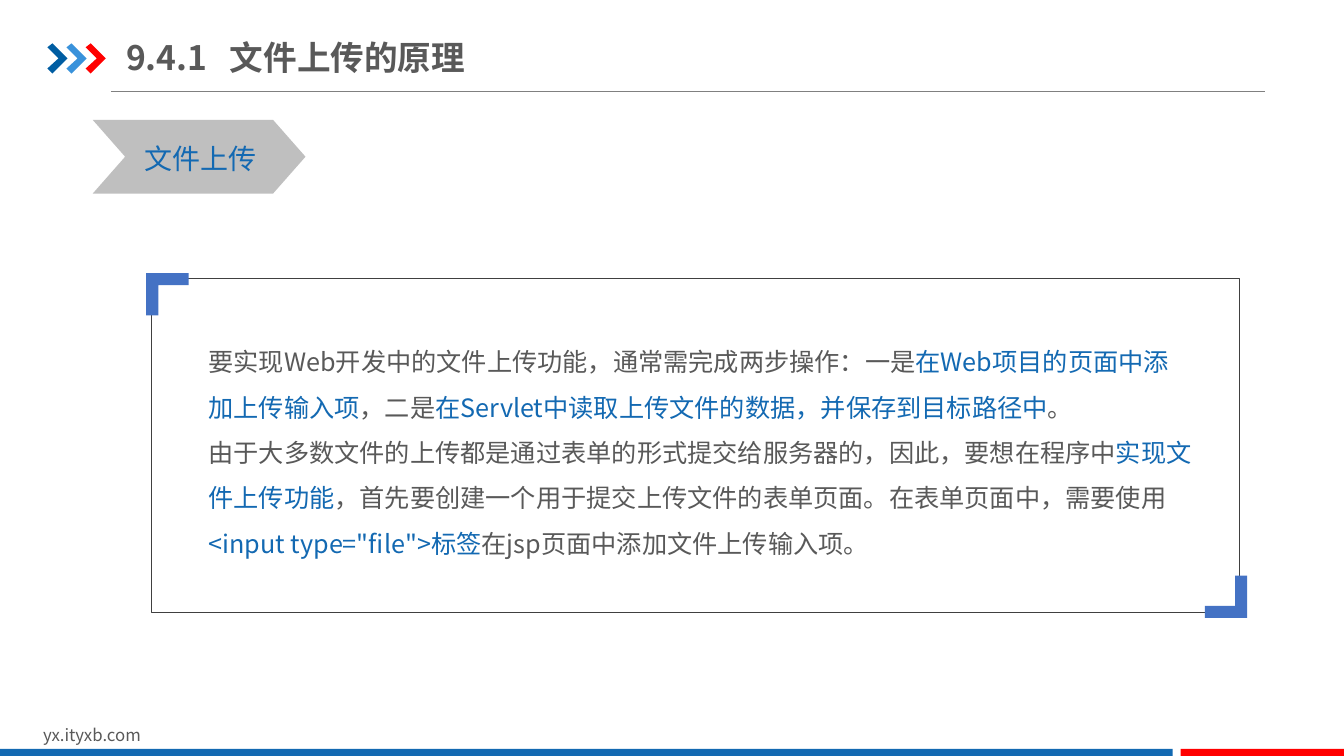
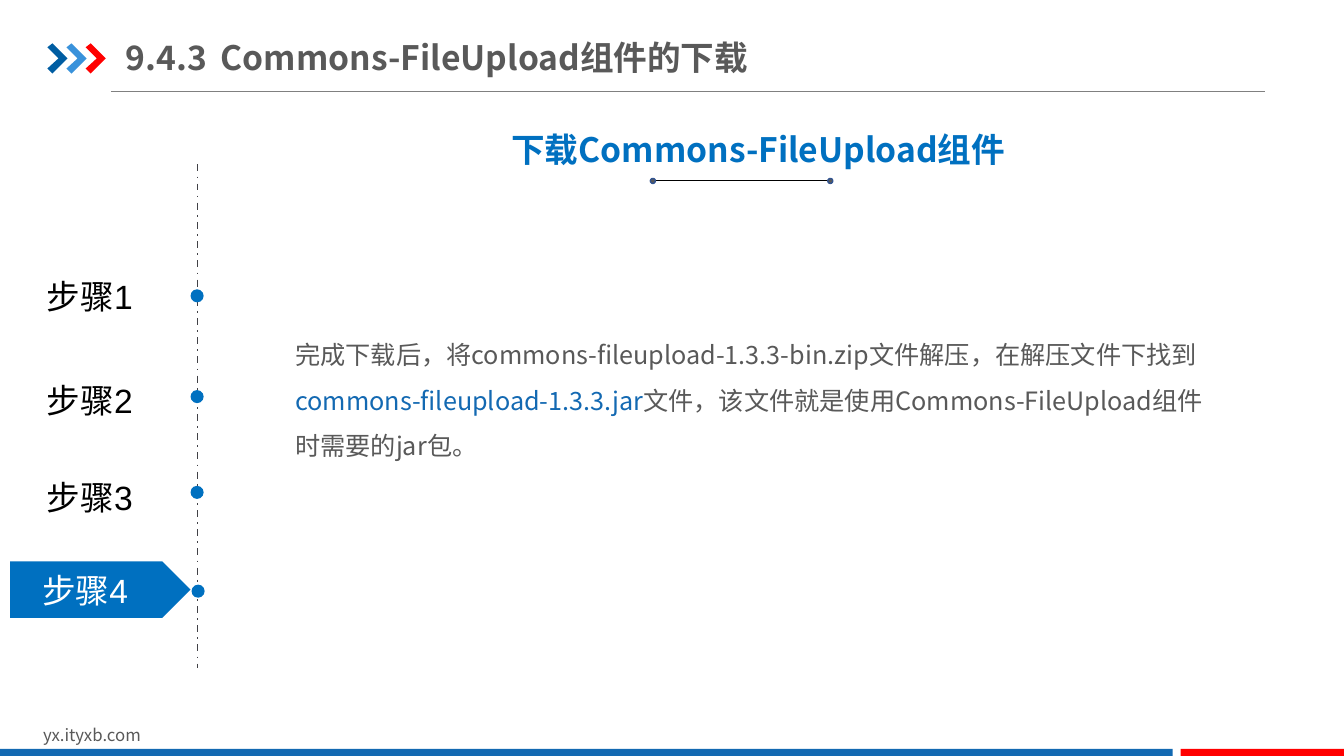
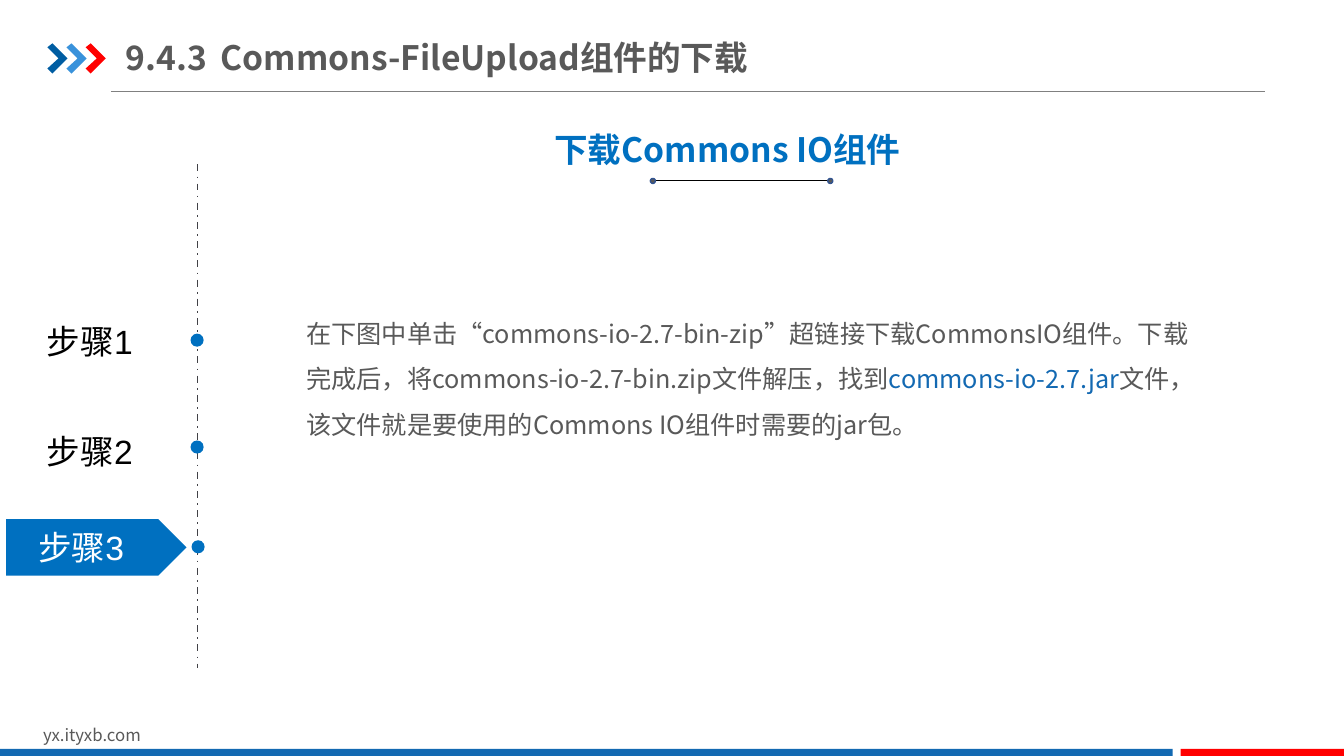
from dataclasses import dataclass

from lxml import etree
from pptx import Presentation
from pptx.dml.color import RGBColor
from pptx.enum.dml import MSO_LINE
from pptx.enum.shapes import MSO_CONNECTOR, MSO_SHAPE
from pptx.enum.text import MSO_ANCHOR, PP_ALIGN
from pptx.oxml.ns import qn
from pptx.util import Inches, Pt

BOX, DOT = MSO_SHAPE.RECTANGLE, MSO_SHAPE.OVAL
CHEVRON, FLAG = MSO_SHAPE.CHEVRON, MSO_SHAPE.PENTAGON
LEFT, CENTER = PP_ALIGN.LEFT, PP_ALIGN.CENTER
TOP, MIDDLE = MSO_ANCHOR.TOP, MSO_ANCHOR.MIDDLE
STRAIGHT, DASH = MSO_CONNECTOR.STRAIGHT, MSO_LINE.DASH_DOT


@dataclass(frozen=True)
class Theme:
    font: str = "Noto Sans CJK SC"
    plain: str = "Arial"
    gray: str = "595959"
    blue: str = "1369B2"
    bright: str = "0070C0"
    navy: str = "005DA2"
    sky: str = "3992DB"
    red: str = "FF0000"
    corner: str = "4472C4"
    silver: str = "BFBFBF"
    rule: str = "808080"
    frame: str = "404040"
    dash: str = "414146"
    ring: str = "325491"
    black: str = "000000"
    white: str = "FFFFFF"
    head: int = 24
    label: int = 20
    body: int = 18
    small: int = 12


T = Theme()


def color(code):
    return RGBColor.from_string(code)


def write(frame, text, *, size=T.body, font=T.font, ink=T.gray, accent=T.blue,
          bold=False, align=LEFT, space=None, tab=None):
    """Each line is a paragraph; parts between bars take the accent colour."""
    for i, line in enumerate(text.split("\n")):
        para = frame.add_paragraph() if i else frame.paragraphs[0]
        para.alignment = align
        if space:
            para.line_spacing = space
        if tab:
            stops = etree.SubElement(para._p.get_or_add_pPr(), qn("a:tabLst"))
            etree.SubElement(stops, qn("a:tab"), pos=str(Inches(tab)), algn="l")
        for j, part in enumerate(line.split("|")):
            if not part:
                continue
            run = para.add_run()
            run.text = part
            run.font.size, run.font.bold, run.font.name = Pt(size), bold, font
            run.font.color.rgb = color(accent if j % 2 else ink)
            etree.SubElement(run._r.get_or_add_rPr(), qn("a:ea"), typeface=T.font)


class Deck:
    def __init__(self):
        self.file = Presentation()
        self.file.slide_width, self.file.slide_height = Inches(13.33), Inches(7.5)
        self.slide = None

    # Basic elements
    def paint(self, shape, fill=None, line=None, width=1):
        shape.shadow.inherit = False
        if fill:
            shape.fill.solid()
            shape.fill.fore_color.rgb = color(fill)
        else:
            shape.fill.background()
        if line:
            shape.line.color.rgb = color(line)
            shape.line.width = Pt(width)
        else:
            shape.line.fill.background()
        return shape

    def shape(self, kind, x, y, w, h, **look):
        item = self.slide.shapes.add_shape(kind, *map(Inches, (x, y, w, h)))
        return self.paint(item, **look)

    def outline(self, x, y, points, fill, sign=1):
        spots = [(Inches(x + sign * a), Inches(y + sign * b)) for a, b in points]
        pen = self.slide.shapes.build_freeform(*spots[0], scale=1.0)
        pen.add_line_segments(spots[1:], close=True)
        return self.paint(pen.convert_to_shape(), fill)

    def line(self, x1, y1, x2, y2, ink, width, dash=None):
        item = self.slide.shapes.add_connector(
            STRAIGHT, *map(Inches, (x1, y1, x2, y2)))
        item.line.color.rgb = color(ink)
        item.line.width = Pt(width)
        if dash:
            item.line.dash_style = dash
        etree.SubElement(item._element.spPr, qn("a:effectLst"))

    def text(self, x, y, w, h, text, *, wrap=True, anchor=TOP,
             inset=(0.1, 0.05), **style):
        box = self.slide.shapes.add_textbox(*map(Inches, (x, y, w, h)))
        frame = box.text_frame
        frame.word_wrap, frame.vertical_anchor = wrap, anchor
        frame.margin_left = frame.margin_right = Inches(inset[0])
        frame.margin_top = frame.margin_bottom = Inches(inset[1])
        write(frame, text, **style)

    # Shared slide parts
    def page(self, title, width, tab):
        self.slide = self.file.slides.add_slide(self.file.slide_layouts[6])
        self.line(1.1, 0.91, 12.55, 0.91, T.rule, 0.5)
        arrow = [(0, 0.04), (0.05, 0), (0.2, 0.15),
                 (0.05, 0.3), (0, 0.25), (0.11, 0.15)]
        for i, fill in enumerate((T.navy, T.sky, T.red)):
            self.outline(0.47 + 0.19 * i, 0.43, arrow, fill)
        self.text(0.33, 7.14, 3.18, 0.3, "yx.ityxb.com", size=T.small)
        self.shape(BOX, 0, 7.43, 11.63, 0.09, fill=T.blue)
        self.shape(BOX, 11.71, 7.43, 1.63, 0.09, fill=T.red)
        self.text(1.25, 0.29, width, 0.55, title, anchor=MIDDLE,
                  inset=(0, 0.07), size=T.head, bold=True, tab=tab)

    def topic(self, x, width, text, align):
        self.text(x, 1.23, width, 0.5, text, size=T.head, ink=T.bright,
                  bold=True, align=align)
        self.line(6.5, 1.79, 8.2, 1.79, T.black, 0.5)
        for left in (6.45, 8.21):
            self.shape(DOT, left, 1.77, 0.05, 0.05, fill=T.gray, line=T.ring)

    def steps(self, marks, left):
        """Marks are (dot top, label top); the last one is the current step."""
        self.line(1.96, 1.63, 1.96, 6.63, T.dash, 1.25, DASH)
        for i, (dot, top) in enumerate(marks, 1):
            last = i == len(marks)
            if last:
                self.shape(FLAG, left, top - 0.03, 1.79, 0.56, fill=T.bright)
            self.shape(DOT, 1.9 if last else 1.89, dot, 0.13, 0.13, fill=T.bright)
            x, width = (left - 0.07, 1.63) if last else (0, 1.78)
            self.text(x, top, width, 0.5, f"步骤{i}", size=T.head, font=T.plain,
                      ink=T.white if last else T.black, align=CENTER)

    def frame(self, x, y, w, h):
        self.shape(BOX, x, y, w, h, line=T.frame, width=0.25)
        angle = [(0, 0), (0.42, 0), (0.42, 0.12),
                 (0.12, 0.12), (0.12, 0.42), (0, 0.42)]
        self.outline(x - 0.05, y - 0.05, angle, T.corner)
        self.outline(x + w + 0.08, y + h + 0.06, angle, T.corner, sign=-1)


def main():
    deck = Deck()

    # Upload principle
    deck.page("9.4.1\t文件上传的原理", 3.82, 1.03)
    deck.text(
        1.97, 3.24, 9.97, 2.37,
        "要实现Web开发中的文件上传功能，通常需完成两步操作：一是"
        "|在Web项目的页面中添加上传输入项|，二是"
        "|在Servlet中读取上传文件的数据，并保存到目标路径中|。\n"
        "由于大多数文件的上传都是通过表单的形式提交给服务器的，因此，要想在程序中"
        "|实现文件上传功能|，首先要创建一个用于提交上传文件的表单页面。"
        "在表单页面中，需要使用|<input type=\"file\">标签|"
        "在jsp页面中添加文件上传输入项。", space=1.5)
    deck.frame(1.5, 2.76, 10.79, 3.31)
    tag = deck.shape(CHEVRON, 0.92, 1.19, 2.11, 0.73, fill=T.silver)
    tag.adjustments[0] = 0.44
    deck.text(1.33, 1.35, 1.32, 0.44, "文件上传", wrap=False,
              size=T.label, ink=T.blue)

    # Component downloads
    title = "9.4.3\tCommons-FileUpload组件的下载"
    deck.page(title, 6.57, 0.94)
    deck.steps([(2.87, 2.69), (3.87, 3.72), (4.82, 4.68), (5.8, 5.6)], 0.1)
    deck.topic(4.66, 5.72, "下载Commons-FileUpload组件", CENTER)
    deck.text(
        2.83, 3.17, 9.41, 1.46,
        "完成下载后，将commons-fileupload-1.3.3-bin.zip文件解压，在解压文件下找到"
        "|commons-fileupload-1.3.3.jar|文件，该文件就是使用"
        "Commons-FileUpload组件时需要的jar包。", space=1.5)

    deck.page(title, 6.57, 0.94)
    deck.steps([(3.31, 3.13), (4.37, 4.23), (5.36, 5.18)], 0.06)
    deck.topic(5.4, 3.84, "下载Commons IO组件", LEFT)
    deck.text(
        2.94, 2.96, 9.06, 1.46,
        "在下图中单击“commons-io-2.7-bin-zip”超链接下载CommonsIO组件。"
        "下载完成后，将commons-io-2.7-bin.zip文件解压，找到"
        "|commons-io-2.7.jar|文件，该文件就是要使用的"
        "Commons IO组件时需要的jar包。", space=1.5)

    deck.file.save("out.pptx")


if __name__ == "__main__":
    main()
